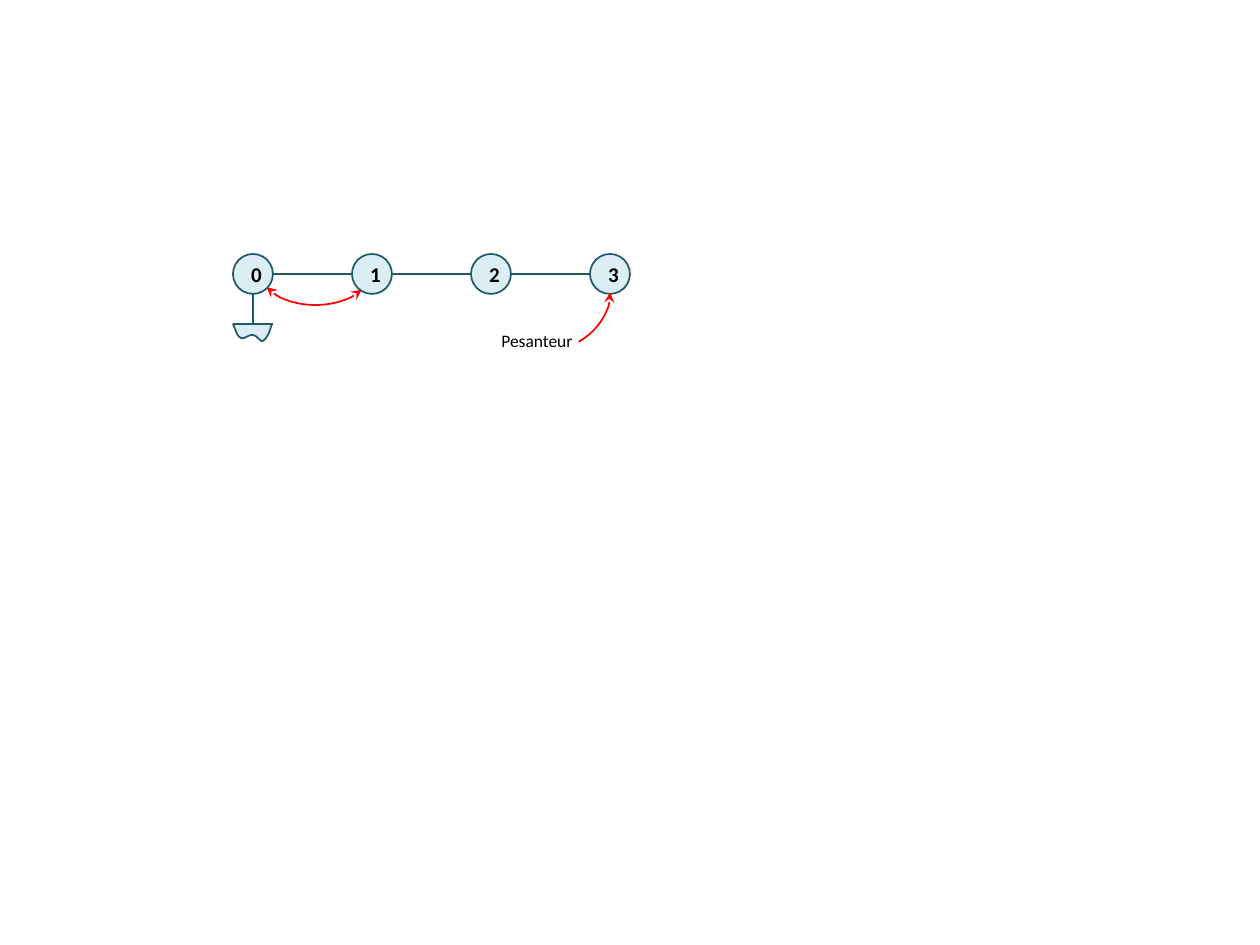
from dataclasses import dataclass, field
from itertools import pairwise

from lxml.etree import SubElement
from pptx import Presentation
from pptx.dml.color import RGBColor
from pptx.enum.shapes import MSO_CONNECTOR, MSO_SHAPE
from pptx.enum.text import MSO_ANCHOR, MSO_AUTO_SIZE, PP_ALIGN
from pptx.oxml.ns import qn
from pptx.slide import Slide
from pptx.util import Emu, Pt

PX_PER_INCH = 126
COLORS = {"fill": "DBEEF4", "outline": "215968", "force": "FF0000", "text": "000000"}


def px(length):
    return Emu(round(length * 914400 / PX_PER_INCH))


@dataclass
class Diagram:
    page: Slide
    font: str = "Calibri"
    colors: dict = field(default_factory=lambda: COLORS)

    def color(self, name):
        return RGBColor.from_string(self.colors[name])

    def outline(self, shape, name="outline"):
        shape.line.color.rgb = self.color(name)
        shape.line.width = Pt(1)

    def fill(self, shape):
        shape.shadow.inherit = False
        shape.fill.solid()
        shape.fill.fore_color.rgb = self.color("fill")
        self.outline(shape)

    def set_text(self, shape, text, size, bold=False):
        para = shape.text_frame.paragraphs[0]
        para.text = text
        para.alignment = PP_ALIGN.CENTER
        para.font.name = self.font
        para.font.size = Pt(size)
        para.font.bold = bold
        para.font.color.rgb = self.color("text")

    def line(self, *ends):
        connector = self.page.shapes.add_connector(MSO_CONNECTOR.STRAIGHT, *map(px, ends))
        self.outline(connector)
        SubElement(connector.element.spPr, qn("a:effectLst"))

    def node(self, left, top, size, text):
        node = self.page.shapes.add_shape(MSO_SHAPE.OVAL, *map(px, (left, top, size, size)))
        self.fill(node)
        node.text_frame.vertical_anchor = MSO_ANCHOR.MIDDLE
        self.set_text(node, text, 12, bold=True)

    def arc(self, bounds, start, end, arrows, rotation=0):
        arc = self.page.shapes.add_shape(MSO_SHAPE.ARC, *map(px, bounds))
        arc.adjustments[0], arc.adjustments[1] = start, end
        arc.rotation = rotation
        arc.shadow.inherit = False
        arc.fill.background()
        self.outline(arc, "force")
        properties = arc.element.spPr
        properties.find(qn("a:xfrm")).set("flipV", "1")
        for arrow in arrows:
            SubElement(properties.find(qn("a:ln")), qn(f"a:{arrow}")).set("type", "stealth")

    def curve(self, start, points):
        builder = self.page.shapes.build_freeform(*map(px, start))
        builder.add_line_segments([tuple(map(px, point)) for point in points], close=False)
        shape = builder.convert_to_shape()
        self.fill(shape)
        segments = list(shape.element.iter(qn("a:lnTo")))
        for index in range(0, len(segments), 3):
            bezier = SubElement(segments[index].getparent(), qn("a:cubicBezTo"))
            for segment in segments[index:index + 3]:
                bezier.append(segment[0])
                segment.getparent().remove(segment)

    def label(self, bounds, text):
        box = self.page.shapes.add_textbox(*map(px, bounds))
        box.text_frame.word_wrap = False
        box.text_frame.auto_size = MSO_AUTO_SIZE.SHAPE_TO_FIT_TEXT
        self.set_text(box, text, 10)


def main():
    deck = Presentation()
    deck.slide_width, deck.slide_height = px(1260), px(945)
    diagram = Diagram(deck.slides.add_slide(deck.slide_layouts[6]))

    size, pitch, left, top = 40, 119, 233, 254
    middle, bottom, ground = top + size // 2, top + size, 324
    lefts = [left + pitch * index for index in range(4)]

    diagram.arc((260, 237, 111, 68), 119.05, 202.69, ("headEnd", "tailEnd"))
    diagram.curve((left, ground), [
        (236, 330), (237, 337), (241, 338),
        (244, 340), (249, 334), (253, 335),
        (257, 335), (261, 343), (263, 341),
        (267, 339), (270, 331), (272, ground),
    ])
    for number, node_left in enumerate(lefts):
        diagram.node(node_left, top, size, str(number))
    diagram.line(left + size // 2, bottom, left + size // 2, ground)
    diagram.line(left, ground, left + size, ground)
    for current, following in pairwise(lefts):
        diagram.line(current + size, middle, following, middle)
    diagram.arc((525, 278, 92, 62), 142.75, 202.69, ("tailEnd",), rotation=315)
    diagram.label((488, ground, 98, 34), "Pesanteur")

    deck.save("out.pptx")


if __name__ == "__main__":
    main()
